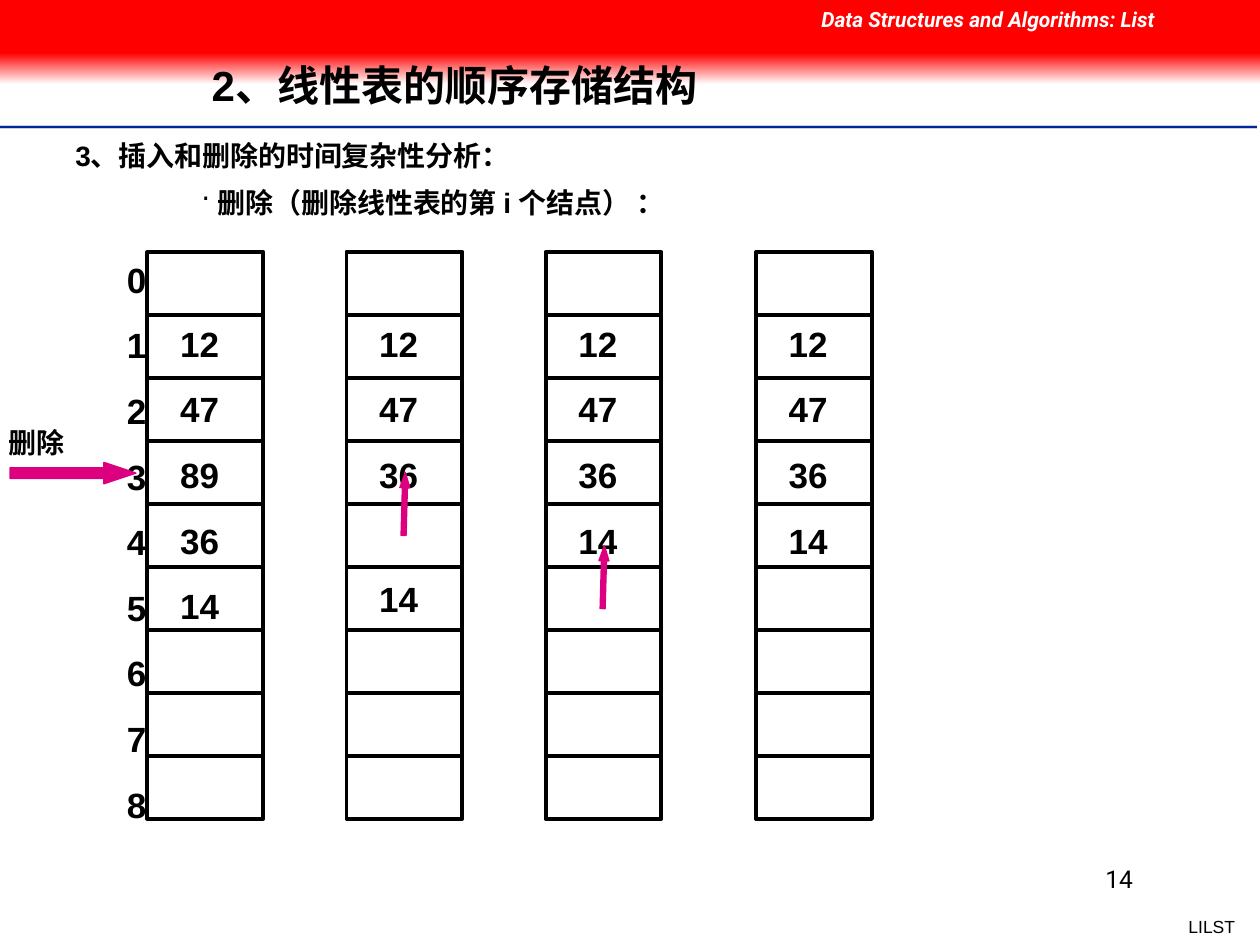
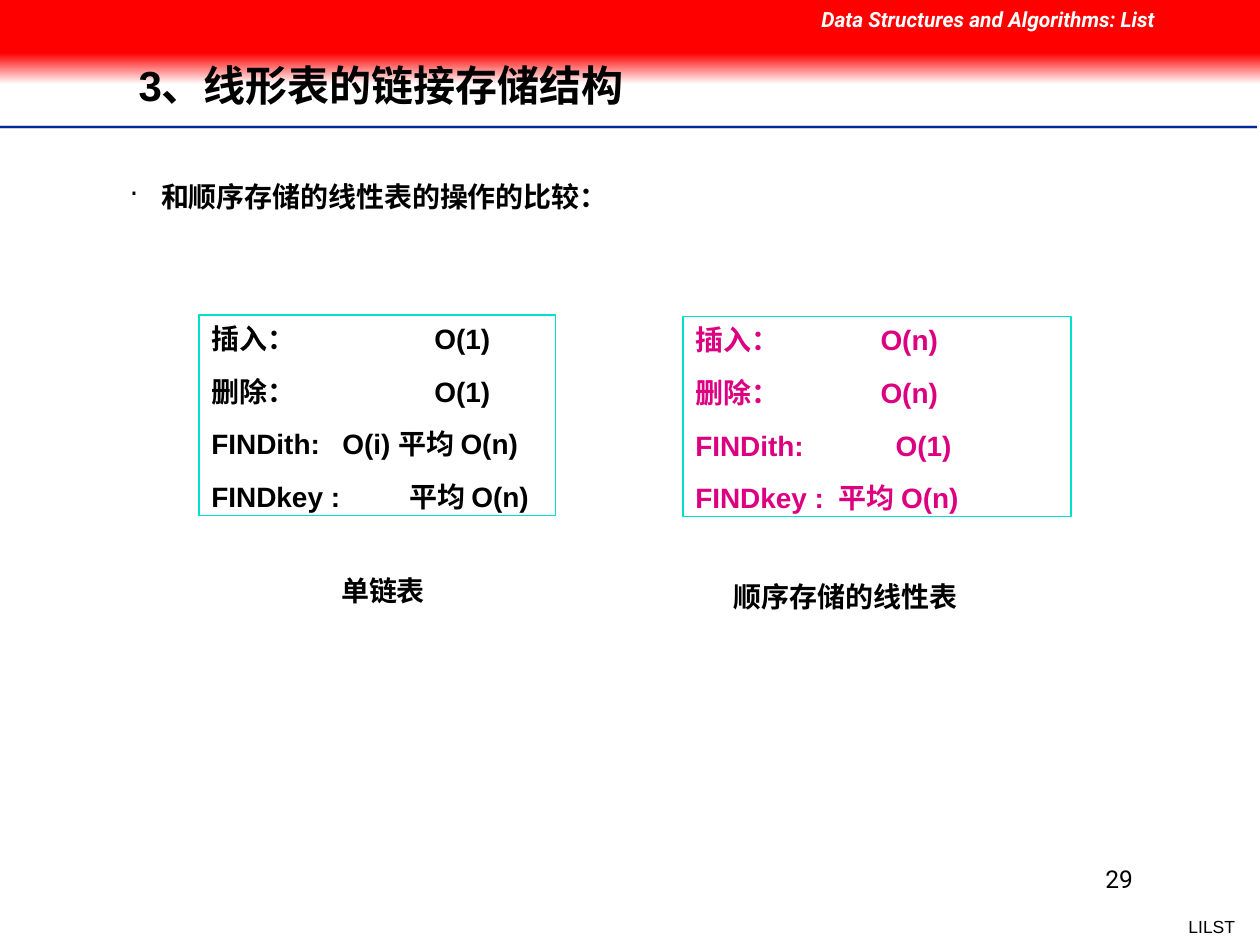
from lxml import etree
from pptx import Presentation
from pptx.dml.color import RGBColor
from pptx.enum.shapes import MSO_CONNECTOR, MSO_SHAPE
from pptx.enum.text import MSO_ANCHOR as ANCHOR, MSO_AUTO_SIZE, PP_ALIGN as ALIGN
from pptx.oxml.ns import qn
from pptx.util import Inches, Pt

C = {
    "red": "FF0000", "white": "FFFFFF", "black": "000000", "grey": "CECECE",
    "navy": "00279F", "pink": "DC0081", "teal": "00DFCA",
}
C = {name: RGBColor.from_string(value) for name, value in C.items()}

TITLE = {"name": "Arial", "size": Pt(24), "bold": True}
CELL = {"name": "Arial", "size": Pt(20), "bold": True}
BODY = {"name": "Arial", "size": Pt(16), "bold": True}
HEADER = {"name": "Roboto", "size": Pt(12), "bold": True, "italic": True}
NUMBER = {"name": "Roboto", "size": Pt(14)}
FOOTER = {"name": "Arial", "size": Pt(10)}


def write(sp, lines, fmt, color="black", align=ALIGN.LEFT, gap=0, anchor=ANCHOR.TOP, wrap=True):
    tf = sp.text_frame
    for key, value in {"word_wrap": wrap, "vertical_anchor": anchor,
                       "auto_size": MSO_AUTO_SIZE.NONE}.items():
        setattr(tf, key, value)
    for i, line in enumerate(lines):
        p = tf.add_paragraph() if i else tf.paragraphs[0]
        p.alignment = align
        p.space_before = Pt(gap if i else 0)
        r = p.add_run()
        r.text = line
        for key, value in fmt.items():
            setattr(r.font, key, value)
        r.font.color.rgb = C[color]
    return tf.paragraphs


def add_line(s, x1, x2, y, color, width):
    ln = s.shapes.add_connector(MSO_CONNECTOR.STRAIGHT, Inches(x1), Inches(y), Inches(x2), Inches(y))
    ln.line.color.rgb = C[color]
    ln.line.width = Pt(width)
    etree.SubElement(ln.element.spPr, qn("a:effectLst"))


prs = Presentation()
prs.slide_width, prs.slide_height = Inches(10), Inches(7.5)

slides = []
for title, left, number in [("2、线性表的顺序存储结构", 1.58, "14"),
                            ("3、线形表的链接存储结构", 1, "29")]:
    s = prs.slides.add_slide(prs.slide_layouts[5])
    slides.append(s)
    for y, color, width in [(1.01, "grey", 2), (1.01, "navy", 1), (1.03, "white", 1)]:
        add_line(s, 0, 9.98, y, color, width)

    fade = s.shapes.add_shape(MSO_SHAPE.RECTANGLE, 0, Inches(0.42), prs.slide_width, Inches(0.25))
    fade.fill.gradient()
    fade.fill.gradient_angle = 270
    for stop, color in zip(fade.fill.gradient_stops, ["red", "white"]):
        stop.color.rgb = C[color]
    band = s.shapes.add_shape(MSO_SHAPE.RECTANGLE, 0, 0, prs.slide_width, Inches(0.42))
    band.fill.solid()
    band.fill.fore_color.rgb = C["red"]
    for sp in (fade, band):
        sp.shadow.inherit = False
        sp.line.fill.background()

    for box, text, fmt, color, align, wrap in [
        ((6.42, 0, 3.58, 0.3), "Data Structures and Algorithms: List", HEADER, "white", ALIGN.LEFT, True),
        ((7.17, 6.81, 1.92, 0.5), number, NUMBER, "black", ALIGN.RIGHT, True),
        ((9.33, 7.22, 0.57, 0.27), "LILST", FOOTER, "black", ALIGN.RIGHT, False),
    ]:
        sp = s.shapes.add_textbox(*map(Inches, box))
        write(sp, [text], fmt, color, align, wrap=wrap)

    sp = s.shapes.title
    sp.left, sp.top, sp.width, sp.height = map(Inches, (left, 0.33, 7.55, 0.74))
    write(sp, [title], TITLE, anchor=ANCHOR.MIDDLE)[0].line_spacing = 0.9
    s.shapes.element.append(sp.element)

deletion, comparison = slides

for s, box, text, indent, hanging in [
    (deletion, (0, 1.05, 7.75, 0.37), "3、插入和删除的时间复杂性分析：", 0.5, 0),
    (deletion, (0, 1.42, 6.92, 0.37), "删除（删除线性表的第 i 个结点） ：", 1.63, 0.13),
    (comparison, (0, 1.38, 9.58, 0.37), "和顺序存储的线性表的操作的比较：", 1.18, 0.25),
]:
    p = write(s.shapes.add_textbox(*map(Inches, box)), [text], BODY)[0]
    pPr = p._p.get_or_add_pPr()
    pPr.set("marL", str(Inches(indent)))
    pPr.set("indent", str(-Inches(hanging)))
    if hanging:
        etree.SubElement(pPr, qn("a:buChar"), char="·")

s = deletion
top, cell_w, cell_h, rows, pitch = 2, 0.92, 0.5, 9, 0.507
for x in (1.17, 2.75, 4.33, 6):
    sp = s.shapes.add_shape(MSO_SHAPE.RECTANGLE, Inches(x), Inches(top), Inches(cell_w), Inches(rows * cell_h))
    sp.shadow.inherit = False
    sp.fill.solid()
    sp.fill.fore_color.rgb = C["white"]
    sp.line.color.rgb = C["black"]
    sp.line.width = Pt(2.25)
    for row in range(1, rows):
        add_line(s, x, x + cell_w, top + row * cell_h, "black", 2.25)

for x, row, values in [
    (0.67, 0, [str(i) for i in range(rows)]),
    (1.17, 1, ["12", "47", "89", "36", "14"]),
    (2.75, 1, ["12", "47", "36"]),
    (2.75, 5, ["14"]),
    (4.33, 1, ["12", "47", "36", "14"]),
    (6, 1, ["12", "47", "36", "14"]),
]:
    sp = s.shapes.add_textbox(Inches(x), Inches(top + row * pitch), Inches(0.83), Inches(len(values) * pitch))
    write(sp, values, CELL, align=ALIGN.CENTER, gap=13.5)

for shape, box, rotation in [
    (MSO_SHAPE.DOWN_ARROW, (3.17, 3.75, 0.08, 0.5), 181.6),
    (MSO_SHAPE.DOWN_ARROW, (4.75, 4.33, 0.08, 0.5), 181.6),
    (MSO_SHAPE.RIGHT_ARROW, (0.08, 3.67, 1, 0.17), 0),
]:
    sp = s.shapes.add_shape(shape, *map(Inches, box))
    sp.rotation = rotation
    sp.adjustments[0], sp.adjustments[1] = 0.5, 1.5
    sp.shadow.inherit = False
    sp.fill.solid()
    sp.fill.fore_color.rgb = sp.line.color.rgb = C["pink"]
    sp.line.width = Pt(0.75)

s = comparison
for box, color, costs in [
    ((1.58, 2.5, 2.83, 1.59), "black",
     [("插入：\tO(1)", 1.77), ("删除：\tO(1)", 1.77),
      ("FINDith:\tO(i) 平均 O(n)", 1.04), ("FINDkey :\t平均 O(n)", 1.57)]),
    ((5.42, 2.51, 3.08, 1.59), "pink",
     [("插入：\tO(n)", 1.47), ("删除：\tO(n)", 1.47),
      ("FINDith:\tO(1)", 1.59), ("FINDkey :\t平均 O(n)", 1.14)]),
]:
    sp = s.shapes.add_shape(MSO_SHAPE.RECTANGLE, *map(Inches, box))
    sp.shadow.inherit = False
    sp.fill.background()
    sp.line.color.rgb = C["teal"]
    sp.line.width = Pt(0.75)
    paragraphs = write(sp, [text for text, _ in costs], BODY, color, gap=11)
    for p, (_, stop) in zip(paragraphs, costs):
        tabs = etree.SubElement(p._p.get_or_add_pPr(), qn("a:tabLst"))
        etree.SubElement(tabs, qn("a:tab"), pos=str(Inches(stop)), algn="l")

for s, box, text in [
    (deletion, (-0.17, 3.33, 0.92, 0.37), "删除"),
    (comparison, (2.33, 4.5, 1.42, 0.37), "单链表"),
    (comparison, (5.42, 4.55, 2.58, 0.37), "顺序存储的线性表"),
]:
    write(s.shapes.add_textbox(*map(Inches, box)), [text], BODY, align=ALIGN.CENTER)

prs.save("out.pptx")
